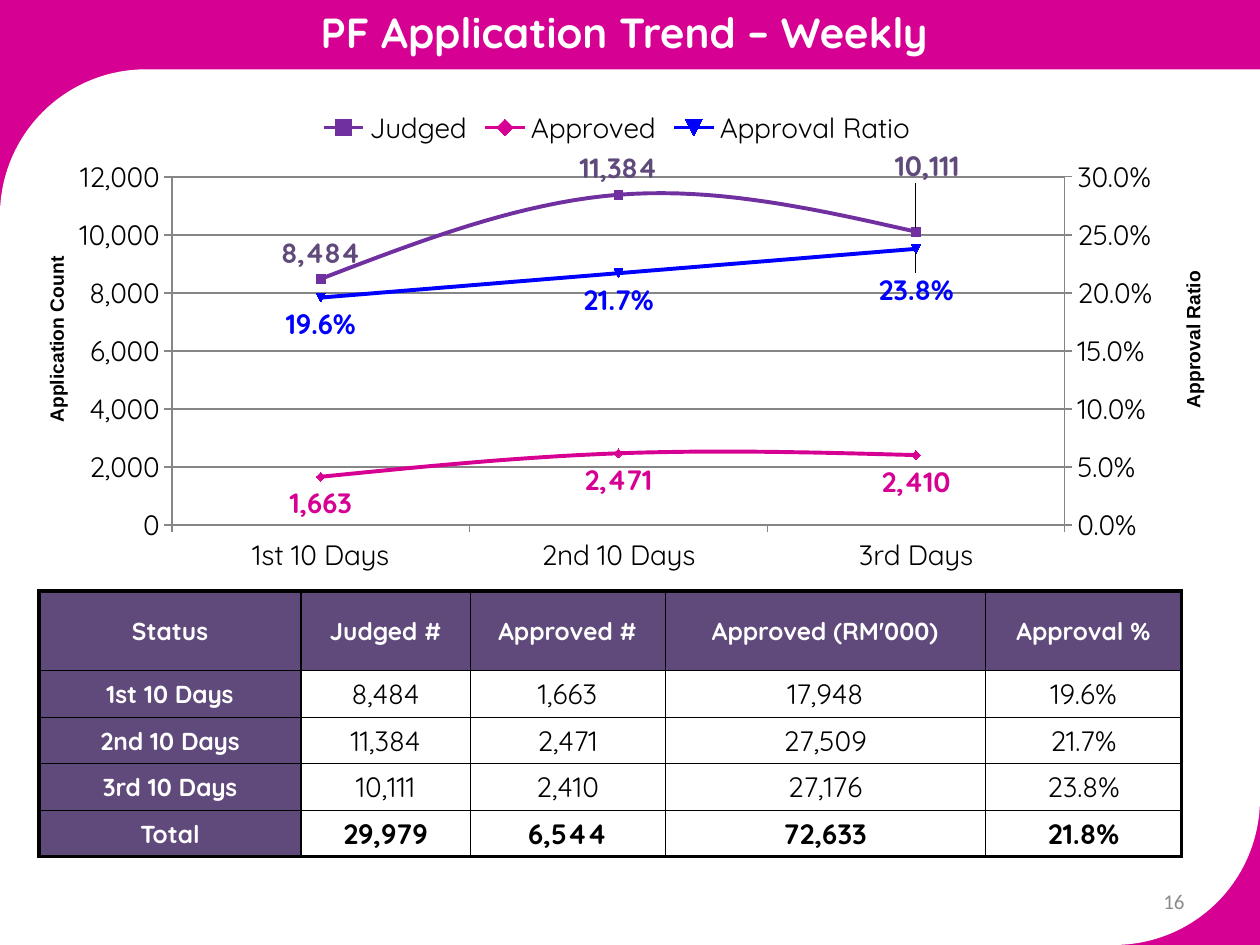
from copy import deepcopy

from lxml import etree
from pptx import Presentation
from pptx.chart.data import CategoryChartData
from pptx.dml.color import RGBColor
from pptx.enum.chart import (XL_CHART_TYPE, XL_LABEL_POSITION, XL_LEGEND_POSITION,
                             XL_MARKER_STYLE, XL_TICK_MARK)
from pptx.enum.shapes import MSO_SHAPE
from pptx.enum.text import MSO_ANCHOR, PP_ALIGN
from pptx.oxml import parse_xml
from pptx.oxml.ns import nsdecls, qn
from pptx.util import Inches, Pt

ABOVE, BELOW = XL_LABEL_POSITION.ABOVE, XL_LABEL_POSITION.BELOW
OUTSIDE = XL_TICK_MARK.OUTSIDE
CENTER, RIGHT = PP_ALIGN.CENTER, PP_ALIGN.RIGHT
MIDDLE, TOP = MSO_ANCHOR.MIDDLE, MSO_ANCHOR.TOP

PINK = RGBColor(0xD6, 0x00, 0x93)
WHITE = RGBColor(0xFF, 0xFF, 0xFF)
BLACK = RGBColor(0x00, 0x00, 0x00)
PLUM = RGBColor(0x60, 0x4A, 0x7B)
PURPLE = RGBColor(0x70, 0x30, 0xA0)
BLUE = RGBColor(0x00, 0x00, 0xFF)
GRAY = RGBColor(0x8C, 0x8C, 0x8C)
RULE = RGBColor(0x86, 0x86, 0x86)
FONT = "Quicksand"

TITLE = "PF Application Trend – Weekly "
PAGE = "16"
AXES = [("Application Count", -0.76), ("Approval Ratio", 8.26)]
DAYS = ["1st 10 Days", "2nd 10 Days", "3rd Days"]
# name, values, format, line colour, label colour, label place, shift of last label
SERIES = [
    ("Judged", [8484, 11384, 10111], "#,##0", PURPLE, PLUM, ABOVE, (0.01, -0.08)),
    ("Approved", [1663, 2471, 2410], "#,##0", PINK, PINK, BELOW, None),
    ("Approval Ratio", [0.196, 0.217, 0.238], "0.0%", BLUE, BLUE, BELOW, (0, 0.03)),
]
ROWS = [
    ["Status", "Judged #", "Approved #", "Approved (RM'000)", "Approval %"],
    ["1st 10 Days", "8,484", "1,663", "17,948", "19.6%"],
    ["2nd 10 Days", "11,384", "2,471", "27,509", "21.7%"],
    ["3rd 10 Days", "10,111", "2,410", "27,176", "23.8%"],
    ["Total", "29,979", "6,544", "72,633", "21.8%"],
]
WIDTHS = [2.08, 1.34, 1.55, 2.54, 1.56]
HEIGHTS = [0.63] + [0.37] * 4
THICK, MEDIUM, THIN = 2.25, 1, 0.25


def box(at):
    return [Inches(v) for v in at]


def style(font, size, color, bold=False, name=FONT):
    font.size, font.bold, font.name = Pt(size), bold, name
    font.color.rgb = color


def add_panel(slide, kind, at, color):
    """Add a filled shape behind the title."""
    panel = slide.shapes.add_shape(kind, *box(at))
    panel.shadow.inherit = False
    panel.fill.solid()
    panel.fill.fore_color.rgb = color
    panel.line.fill.background()
    slide.shapes.title.element.addprevious(panel.element)


def write(shape, text, align, anchor, *look):
    frame = shape.text_frame
    frame.word_wrap = True
    frame.vertical_anchor = anchor
    frame.text = text
    para = frame.paragraphs[0]
    para.alignment = align
    style(para.font, *look)


def add_text(slide, at, *args):
    shape = slide.shapes.add_textbox(*box(at))
    write(shape, *args)
    return shape


def edge(i, count):
    """Width of grid line i: thick outside, medium after the heading."""
    return THICK if i in (0, count) else MEDIUM if i == 1 else THIN


def set_borders(cell, row, col):
    widths = {"lnL": edge(col, len(WIDTHS)), "lnR": edge(col + 1, len(WIDTHS)),
              "lnT": edge(row, len(ROWS)), "lnB": edge(row + 1, len(ROWS))}
    props = cell._tc.get_or_add_tcPr()
    for i, (tag, width) in enumerate(widths.items()):
        props.insert(i, parse_xml(
            f'<a:{tag} {nsdecls("a")} w="{Pt(width)}"><a:solidFill>'
            f'<a:srgbClr val="{BLACK}"/></a:solidFill></a:{tag}>'))


def add_grid(slide):
    at = (0.31, 4.69, sum(WIDTHS), sum(HEIGHTS))
    table = slide.shapes.add_table(len(ROWS), len(WIDTHS), *box(at)).table
    table.first_row = table.horz_banding = False
    for col, width in zip(table.columns, WIDTHS):
        col.width = Inches(width)
    for r, (row, height) in enumerate(zip(ROWS, HEIGHTS)):
        table.rows[r].height = Inches(height)
        for c, text in enumerate(row):
            cell = table.cell(r, c)
            head = r == 0 or c == 0
            cell.fill.solid()
            cell.fill.fore_color.rgb = PLUM if head else WHITE
            cell.margin_left = cell.margin_right = cell.margin_top = Inches(0.01)
            cell.margin_bottom = 0
            cell.vertical_anchor = MIDDLE
            cell.text = text
            para = cell.text_frame.paragraphs[0]
            para.alignment = CENTER
            style(para.font, 14 if head else 16, WHITE if head else BLACK,
                  head or r == len(ROWS) - 1)
            set_borders(cell, r, c)


def layout(**values):
    """Manual chart layout, in fractions of the chart."""
    parts = "".join(f'<c:{k} val="{v}"/>' for k, v in values.items())
    return parse_xml(f'<c:layout {nsdecls("c")}><c:manualLayout>{parts}'
                     f'</c:manualLayout></c:layout>')


def style_axis(axis):
    axis.major_tick_mark = OUTSIDE
    axis.format.line.color.rgb = RULE
    style(axis.tick_labels.font, 16, BLACK)


def style_series(series, fmt, color, ink, place, shift):
    series.smooth = True
    series.format.line.color.rgb = color
    series.format.line.width = Pt(2.25)
    marker = series.marker
    marker.style, marker.size = XL_MARKER_STYLE.AUTOMATIC, 5
    marker.format.fill.solid()
    marker.format.fill.fore_color.rgb = color
    marker.format.line.color.rgb = color
    labels = series.data_labels
    labels.show_value, labels.position = True, place
    labels.number_format, labels.number_format_is_linked = fmt, False
    style(labels.font, 16, ink, True)
    if shift:
        last = series.points[len(DAYS) - 1].data_label
        style(last.font, 16, ink, True)
        last.position = place
        spot = labels._element.find(qn("c:dLbl"))
        spot.find(qn("c:idx")).addnext(layout(x=shift[0], y=shift[1]))


def add_second_axis(chart):
    """Move the last series to its own right-hand percentage axis."""
    plot = chart._chartSpace.find(".//" + qn("c:plotArea"))
    first = plot.find(qn("c:lineChart"))
    second = deepcopy(first)
    first.remove(first.findall(qn("c:ser"))[-1])
    for ser in second.findall(qn("c:ser"))[:-1]:
        second.remove(ser)
    first.addnext(second)
    cat, val = plot.find(qn("c:catAx")), plot.find(qn("c:valAx"))
    right, hidden = deepcopy(val), deepcopy(cat)
    val.addnext(right)
    right.addnext(hidden)
    ids = {cat.find(qn("c:axId")).get("val"): "5001",
           val.find(qn("c:axId")).get("val"): "5002"}
    for part in (second, right, hidden):
        for tag in ("c:axId", "c:crossAx"):
            for node in part.findall(qn(tag)):
                node.set("val", ids[node.get("val")])
    hidden.find(qn("c:delete")).set("val", "1")
    right.remove(right.find(qn("c:majorGridlines")))
    for tag, value in (("c:axPos", "r"), ("c:crosses", "max"), ("c:majorUnit", "0.05")):
        right.find(qn(tag)).set("val", value)
    right.find(qn("c:scaling")).find(qn("c:max")).set("val", "0.3")
    right.find(qn("c:numFmt")).set("formatCode", "0.0%")
    old = plot.find(qn("c:layout"))
    if old is not None:
        plot.remove(old)
    area = layout(layoutTarget="inner", xMode="edge", yMode="edge",
                  x=0.102, y=0.167, w=0.799, h=0.716)
    plot.insert(0, area)
    etree.cleanup_namespaces(plot)


def add_trend(slide):
    data = CategoryChartData()
    data.categories = DAYS
    for name, values, fmt, *_ in SERIES:
        data.add_series(name, values, fmt)
    chart = slide.shapes.add_chart(XL_CHART_TYPE.LINE_MARKERS,
                                   *box((0.46, 0.76, 8.87, 3.86)), data).chart
    style(chart.font, 16, BLACK)
    chart.has_title = False
    chart.has_legend = True
    chart.legend.position = XL_LEGEND_POSITION.TOP
    chart.legend.include_in_layout = False
    chart.plots[0].vary_by_categories = False
    for axis in (chart.category_axis, chart.value_axis):
        style_axis(axis)
    axis = chart.value_axis
    axis.minimum_scale, axis.maximum_scale, axis.major_unit = 0, 12000, 2000
    axis.major_gridlines.format.line.color.rgb = RULE
    axis.tick_labels.number_format = "#,##0"
    axis.tick_labels.number_format_is_linked = False
    for series, (_, _, *look) in zip(chart.plots[0].series, SERIES):
        style_series(series, *look)
    add_second_axis(chart)


def main():
    deck = Presentation()
    deck.slide_width, deck.slide_height = Inches(10), Inches(7.5)
    slide = deck.slides.add_slide(deck.slide_layouts[5])
    add_panel(slide, MSO_SHAPE.RECTANGLE, (0, 0, 10, 7.5), PINK)
    add_panel(slide, MSO_SHAPE.ROUND_2_DIAG_RECTANGLE, (0, 0.55, 10, 6.95), WHITE)
    title = slide.shapes.title
    title.left, title.top, title.width, title.height = box((0, 0, 10, 0.8))
    write(title, TITLE, CENTER, TOP, 24, WHITE, True)
    add_text(slide, (7.17, 6.95, 2.33, 0.4), PAGE, RIGHT, MIDDLE, 12, GRAY, False, "Calibri")
    add_grid(slide)
    for text, left in AXES:
        label = add_text(slide, (left, 2.55, 2.42, 0.29), text, CENTER, TOP,
                         11, BLACK, True, "Arial")
        label.rotation = 270
    add_trend(slide)
    deck.save("out.pptx")


if __name__ == "__main__":
    main()
